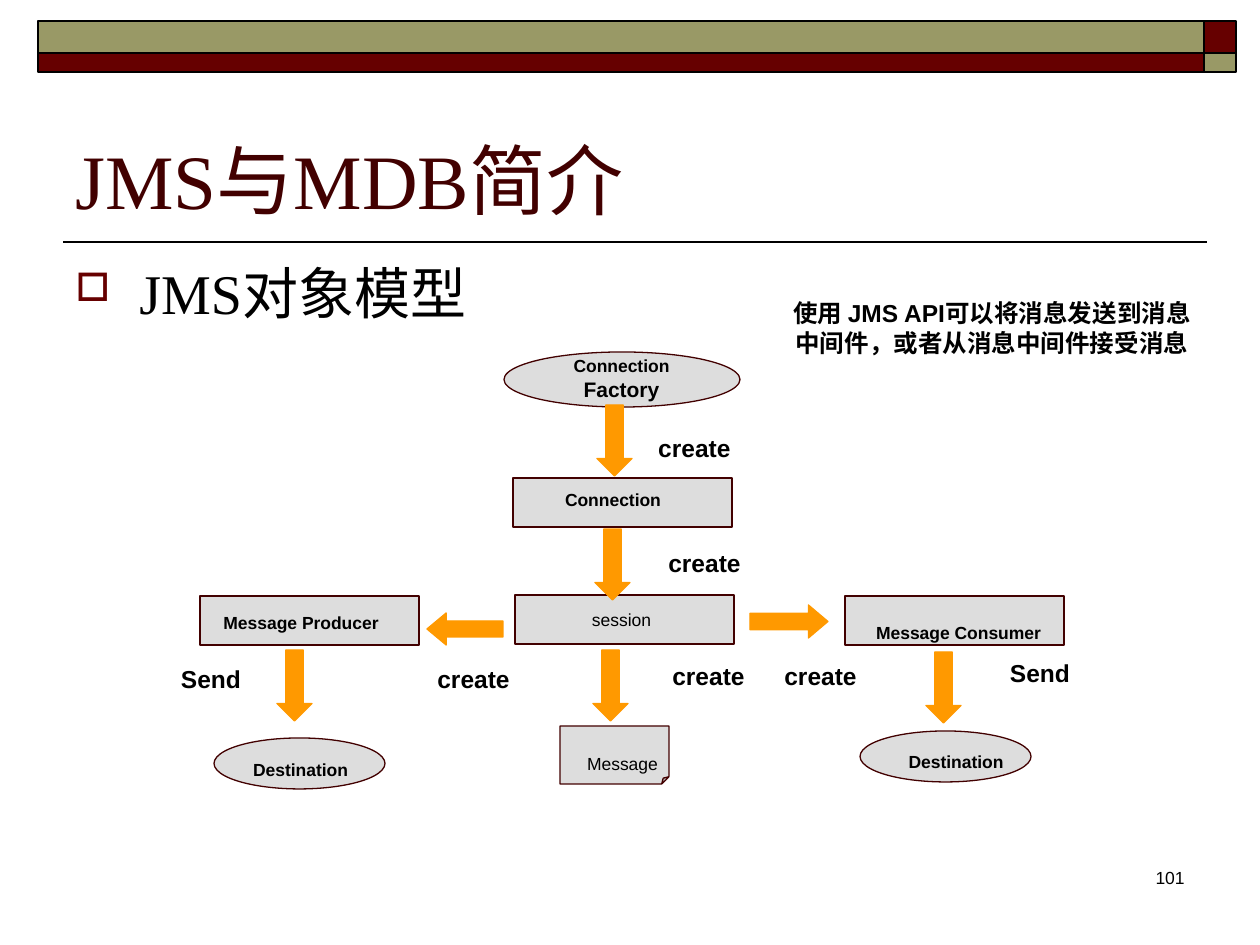
from lxml import etree
from pptx import Presentation, util as u
from pptx.dml.color import RGBColor
from pptx.enum import shapes, text
from pptx.oxml.ns import qn

PX = 914400 / 126
COLORS = {
    "maroon": "660000", "olive": "999966", "title": "420000",
    "node": "DDDDDD", "arrow": "FF9900", "ink": "000000",
}
FORM = shapes.MSO_SHAPE
ALIGN = text.PP_ALIGN


def px(*lengths):
    return [u.Emu(round(n * PX)) for n in lengths]


def color(name):
    return RGBColor.from_string(COLORS[name])


def add_block(slide, form, box, fill, line, weight=0.75):
    block = slide.shapes.add_shape(form, *px(*box))
    block.shadow.inherit = False
    block.fill.solid()
    block.fill.fore_color.rgb = color(fill)
    block.line.color.rgb = color(line)
    block.line.width = u.Pt(weight)
    return block


def add_arrow(slide, form, box, head=0.5):
    arrow = add_block(slide, form, box, "arrow", "arrow")
    arrow.adjustments[1] = head


def add_rule(slide, left, right, y):
    rule = slide.shapes.add_connector(
        shapes.MSO_CONNECTOR.STRAIGHT, *px(left, y, right, y))
    rule.line.color.rgb = color("ink")
    rule.line.width = u.Pt(1)
    etree.SubElement(rule._element.spPr, qn("a:effectLst"))


def add_text(slide, box, runs, bold=False, align=ALIGN.CENTER,
             font="Arial", ink="ink"):
    frame = slide.shapes.add_textbox(*px(*box)).text_frame
    frame.word_wrap = True
    paragraph = frame.paragraphs[0]
    paragraph.alignment = align
    for words, size in runs:
        run = paragraph.add_run()
        run.text = words
        run.font.size = u.Pt(size)
        run.font.name = font
        run.font.bold = bold
        run.font.color.rgb = color(ink)
    return frame


def add_bullet(paragraph, indent):
    props = paragraph._p.get_or_add_pPr()
    margin = px(indent)[0]
    props.set("marL", str(margin))
    props.set("indent", str(-margin))
    tint = etree.SubElement(props, qn("a:buClr"))
    etree.SubElement(tint, qn("a:srgbClr")).set("val", COLORS["maroon"])
    etree.SubElement(props, qn("a:buSzPct")).set("val", "70000")
    etree.SubElement(props, qn("a:buChar")).set("char", "□")


def set_fold(note, share):
    guides = note._element.spPr.find(".//" + qn("a:avLst"))
    fold = etree.SubElement(guides, qn("a:gd"))
    fold.set("name", "adj")
    fold.set("fmla", f"val {round(share * 100000)}")


def add_banner(slide):
    add_rule(slide, 63, 1207, 242)
    for top, height, wide, corner in ((21, 32, "olive", "maroon"),
                                      (53, 19, "maroon", "olive")):
        add_block(slide, FORM.RECTANGLE, (38, top, 1166, height), wide, "ink", 1)
        add_block(slide, FORM.RECTANGLE, (1204, top, 32, height), corner, "ink", 1)


def add_headings(slide):
    add_text(slide, (935, 861, 262, 63), [("101", 10)], align=ALIGN.RIGHT)
    title = add_text(slide, (63, 73, 1134, 158), [("JMS与MDB简介", 44)],
                     align=ALIGN.LEFT, font="Times New Roman", ink="title")
    title.vertical_anchor = text.MSO_ANCHOR.BOTTOM
    topic = add_text(slide, (63, 252, 1134, 592), [("JMS对象模型", 32)],
                     align=ALIGN.LEFT, font="Times New Roman")
    add_bullet(topic.paragraphs[0], 64)


def add_nodes(slide):
    add_block(slide, FORM.OVAL, (504, 352, 236, 55), "node", "title")
    for left, top in ((513, 478), (515, 595), (200, 596), (845, 596)):
        add_block(slide, FORM.RECTANGLE, (left, top, 219, 49), "node", "title")
    message = add_block(slide, FORM.FOLDED_CORNER, (560, 726, 109, 58),
                        "node", "title")
    set_fold(message, 0.125)
    for left, top in ((214, 738), (860, 731)):
        add_block(slide, FORM.OVAL, (left, top, 171, 51), "node", "title")


def add_arrows(slide):
    for left, top in ((597, 405), (595, 529), (277, 650), (593, 650), (926, 652)):
        add_arrow(slide, FORM.DOWN_ARROW, (left, top, 35, 71))
    add_arrow(slide, FORM.LEFT_ARROW, (427, 613, 76, 32), 0.6)
    add_arrow(slide, FORM.RIGHT_ARROW, (750, 605, 78, 33), 0.59)


def add_labels(slide):
    add_text(slide, (539, 345, 165, 63),
             [("Connection", 10), (" Factory", 12)], bold=True)
    for name, left, top, width, bold in (
            ("Connection", 530, 483, 166, True),
            ("session", 525, 603, 193, False),
            ("Message", 571, 747, 103, False),
            ("Message Producer", 209, 606, 184, True),
            ("Message Consumer", 851, 616, 215, True),
            ("Destination", 228, 753, 145, True),
            ("Destination", 879, 745, 154, True)):
        add_text(slide, (left, top, width, 34), [(name, 10)], bold)
    add_text(slide, (769, 292, 446, 72),
             [("使用 JMS API可以将消息发送到消息中间件，或者从消息中间件接受消息", 14)],
             bold=True)
    for action, left, top, width in (
            ("create", 625, 427, 139), ("create", 651, 542, 107),
            ("create", 655, 655, 107), ("create", 420, 658, 107),
            ("create", 767, 655, 107), ("Send", 160, 658, 102),
            ("Send", 989, 652, 102)):
        add_text(slide, (left, top, width, 42), [(action, 14)], bold=True)


def main():
    deck = Presentation()
    deck.slide_width, deck.slide_height = px(1260, 945)
    slide = deck.slides.add_slide(deck.slide_layouts[6])
    add_banner(slide)
    add_headings(slide)
    add_nodes(slide)
    add_arrows(slide)
    add_labels(slide)
    deck.save("out.pptx")


if __name__ == "__main__":
    main()
